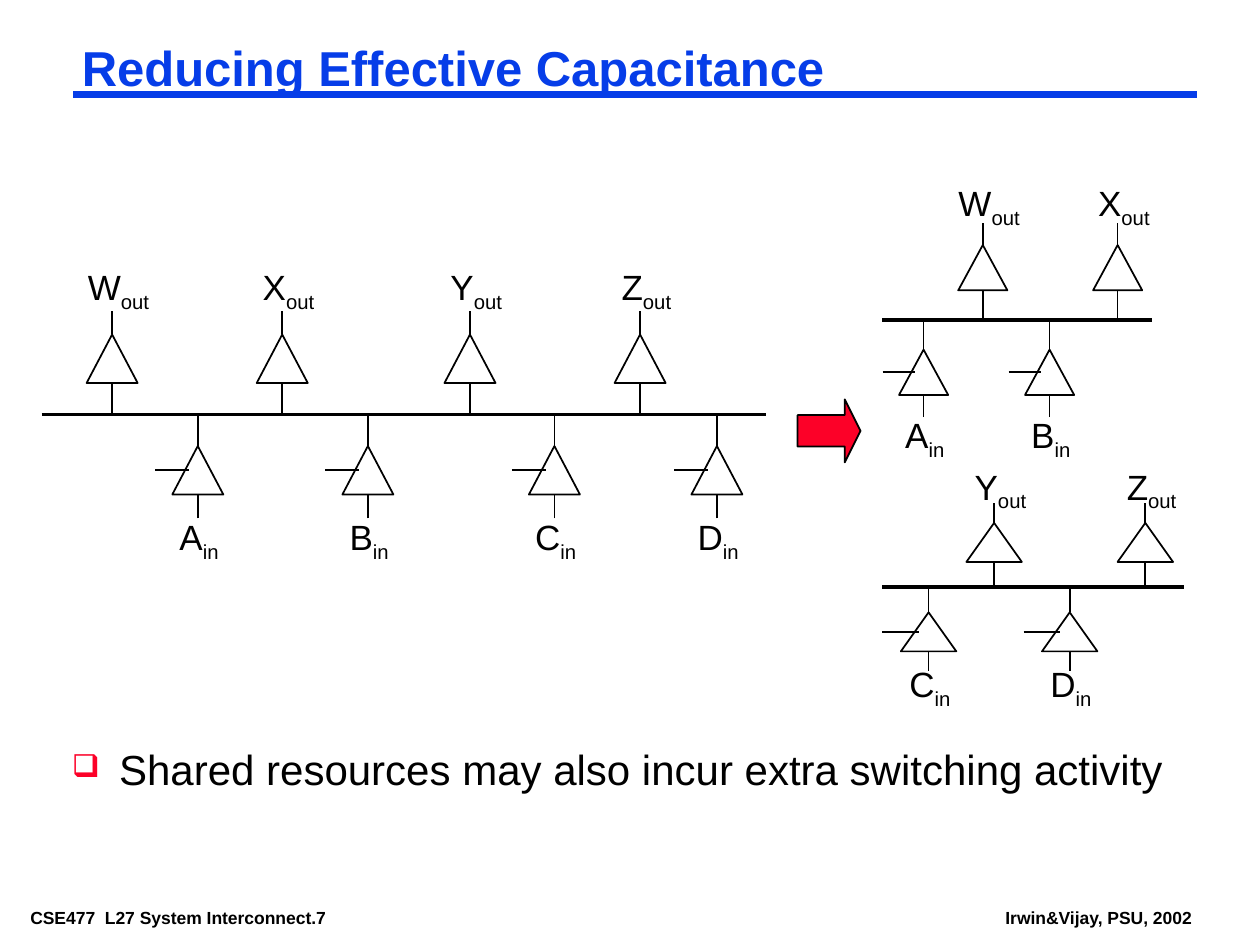
from dataclasses import dataclass

from pptx import Presentation
from pptx import util as u
from pptx.dml.color import RGBColor
from pptx.enum import shapes, text
from pptx.oxml.ns import qn
from lxml import etree

BLACK = RGBColor(0x00, 0x00, 0x00)
BLUE = RGBColor(0x06, 0x3D, 0xE8)
RED = RGBColor(0xFC, 0x01, 0x28)
FONT = "Arial"
COLUMNS, ROWS = 100, 75
CELL = u.Inches(0.1)
LABEL_HEIGHT = 4.8


@dataclass
class Bus:
    """A shared wire with its buffers, measured in grid cells."""
    left: float
    right: float
    row: float
    width: float
    height: float
    gap: float
    stub: float
    output_label: float
    input_label: float
    outputs: dict
    inputs: dict


BUSES = [
    Bus(3.3, 60.8, 32.9, 4.05, 3.85, 2.5, 1.9, 20.6, 40.4,
        {"W": 8.9, "X": 22.4, "Y": 37.3, "Z": 50.8},
        {"A": 15.7, "B": 29.2, "C": 44, "D": 56.9}),
    Bus(70, 91.4, 25.4, 3.9, 3.6, 2.35, 1.75, 13.9, 32.3,
        {"W": 78, "X": 88.7}, {"A": 73.3, "B": 83.3}),
    Bus(70, 94, 46.6, 4.4, 3.1, 2, 1.55, 36.4, 52.1,
        {"Y": 78.9, "Z": 90.9}, {"C": 73.7, "D": 84.9}),
]


def grid(*cells):
    """Turn grid cells into slide lengths."""
    return [round(cell * CELL) for cell in cells]


def add_line(page, start, end, color=BLACK, weight=1):
    """Draw a straight line between two grid points."""
    line = page.shapes.add_connector(
        shapes.MSO_CONNECTOR.STRAIGHT, *grid(*start, *end))
    line.line.color.rgb = color
    line.line.width = u.Pt(weight)
    etree.SubElement(line._element.spPr, qn("a:effectLst"))


def add_preset(page, kind, place, fill=None):
    """Draw a black-outlined preset shape."""
    shape = page.shapes.add_shape(kind, *grid(*place))
    shape.shadow.inherit = False
    shape.line.color.rgb = BLACK
    shape.line.width = u.Pt(1)
    if fill is None:
        shape.fill.background()
    else:
        shape.fill.solid()
        shape.fill.fore_color.rgb = fill
    return shape


def add_text(page, words, place, *, size, color=BLACK, bold=False,
             subscript="", spacing=1.0, align=text.PP_ALIGN.LEFT,
             anchor=text.MSO_ANCHOR.TOP, insets=(0.7, 0.3), wrap=True):
    """Write one paragraph with an optional subscript and return it."""
    frame = page.shapes.add_textbox(*grid(*place)).text_frame
    frame.word_wrap = wrap
    frame.vertical_anchor = anchor
    frame.margin_left, frame.margin_top = grid(*insets)
    frame.margin_right, frame.margin_bottom = grid(*insets)
    para = frame.paragraphs[0]
    para.alignment = align
    para.line_spacing = spacing
    for part in filter(None, (words, subscript)):
        span = para.add_run()
        span.text = part
        span.font.name = FONT
        span.font.size = u.Pt(size)
        span.font.bold = bold
        span.font.color.rgb = color
    if subscript:
        span._r.get_or_add_rPr().set("baseline", "-25000")
    return para


def add_bullet(para, mark, color, percent, indent):
    """Give a paragraph a coloured bullet and a hanging indent."""
    properties = para._p.get_or_add_pPr()
    hang = grid(indent)[0]
    properties.set("marL", str(hang))
    properties.set("indent", str(-hang))
    tint = etree.SubElement(properties, qn("a:buClr"))
    etree.SubElement(tint, qn("a:srgbClr"), val=str(color))
    etree.SubElement(properties, qn("a:buSzPct"), val=str(percent * 1000))
    etree.SubElement(properties, qn("a:buChar"), char=mark)


def add_label(page, letter, subscript, center, top):
    """Write a signal name centred on a column."""
    width = 6.9 if letter == "W" else 6.1
    add_text(page, letter, (center - width / 2, top, width, LABEL_HEIGHT),
             size=20, subscript=subscript, align=text.PP_ALIGN.CENTER,
             anchor=text.MSO_ANCHOR.MIDDLE, insets=(1, 0.5), wrap=False)


def add_buffer(page, bus, x, top):
    """Draw a buffer triangle with its wires to the bus and the signal."""
    bottom = top + bus.height
    add_preset(page, shapes.MSO_SHAPE.FLOWCHART_EXTRACT,
               (x - bus.width / 2, top, bus.width, bus.height))
    above, below = ((bus.gap, bus.stub) if top > bus.row
                    else (bus.stub, bus.gap))
    add_line(page, (x, top), (x, top - above))
    add_line(page, (x, bottom + below), (x, bottom))


def add_bus(page, bus):
    """Draw a bus with output buffers above and input buffers below."""
    for letter, x in bus.outputs.items():
        add_buffer(page, bus, x, bus.row - bus.gap - bus.height)
        add_label(page, letter, "out", x + 0.5, bus.output_label)
    for letter, x in bus.inputs.items():
        top = bus.row + bus.gap
        middle = top + bus.height / 2
        add_buffer(page, bus, x, top)
        add_line(page, (x - bus.width * 5 / 6, middle),
                 (x - bus.width / 6, middle))
        add_label(page, letter, "in", x + 0.1, bus.input_label)
    add_line(page, (bus.left, bus.row), (bus.right, bus.row), weight=2.25)


def main():
    """Build the slide and save it."""
    deck = Presentation()
    deck.slide_width, deck.slide_height = grid(COLUMNS, ROWS)
    page = deck.slides.add_slide(deck.slide_layouts[6])

    add_text(page, "CSE477  L27 System Interconnect.7",
             (1.7, 71.7, 30.8, 2.2), size=10, bold=True)
    add_text(page, "Irwin&Vijay, PSU, 2002",
             (79.1, 71.7, 17, 2.2), size=10, bold=True)
    add_line(page, (5.8, 7.5), (95, 7.5), color=BLUE, weight=4.5)
    add_text(page, "Reducing Effective Capacitance", (5.8, 3.3, 76.7, 4.6),
             size=28, color=BLUE, bold=True, spacing=0.87)
    point = add_text(
        page, "Shared resources may also incur extra switching activity",
        (5, 59.2, 92.5, 4.2), size=24, spacing=0.9)
    add_bullet(point, "❑", RED, percent=75, indent=3.75)

    for bus in BUSES:
        add_bus(page, bus)
    arrow = add_preset(page, shapes.MSO_SHAPE.RIGHT_ARROW,
                       (63.3, 31.7, 5, 5), fill=RED)
    arrow.adjustments[0] = 0.5
    arrow.adjustments[1] = 0.25
    deck.save("out.pptx")


if __name__ == "__main__":
    main()
